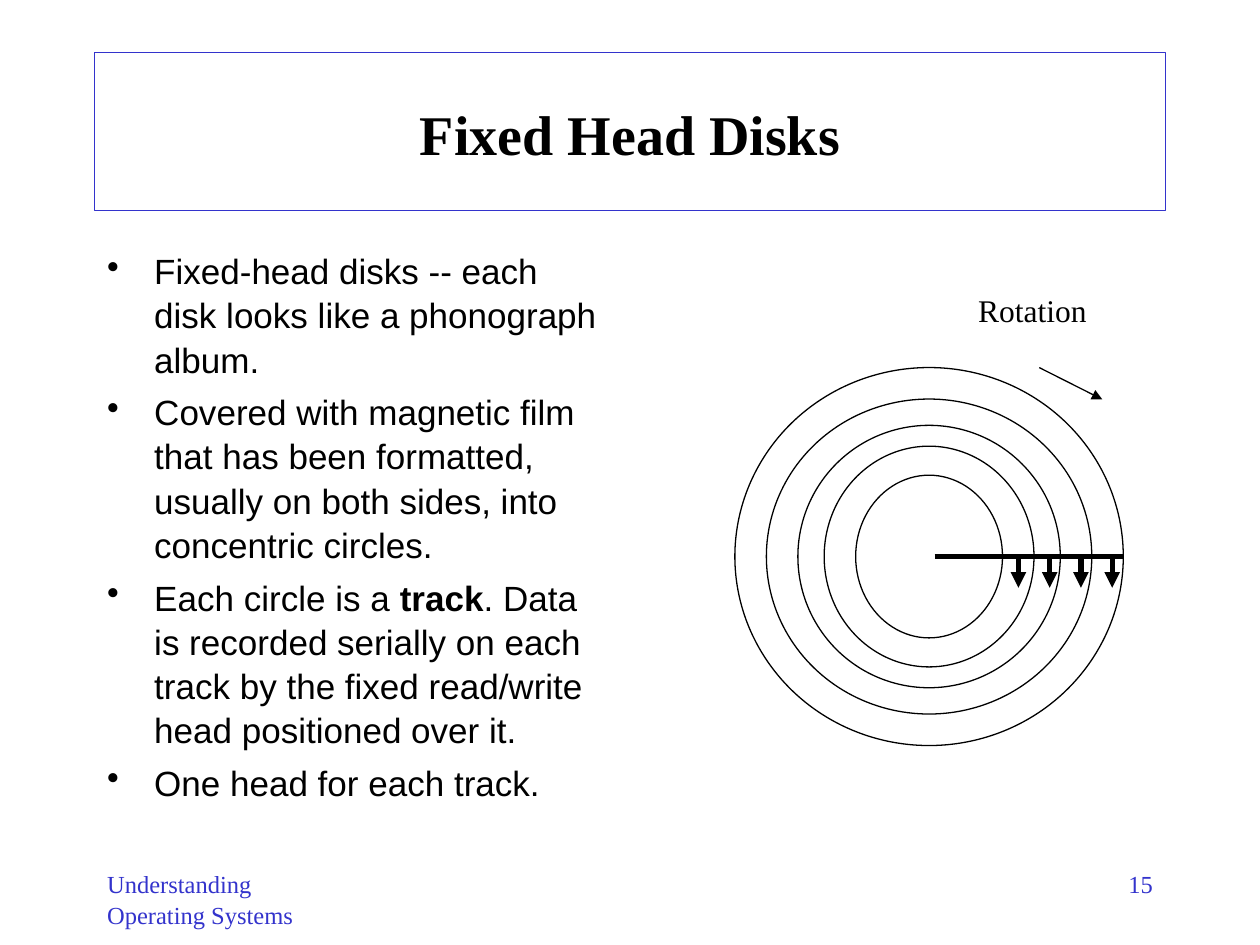
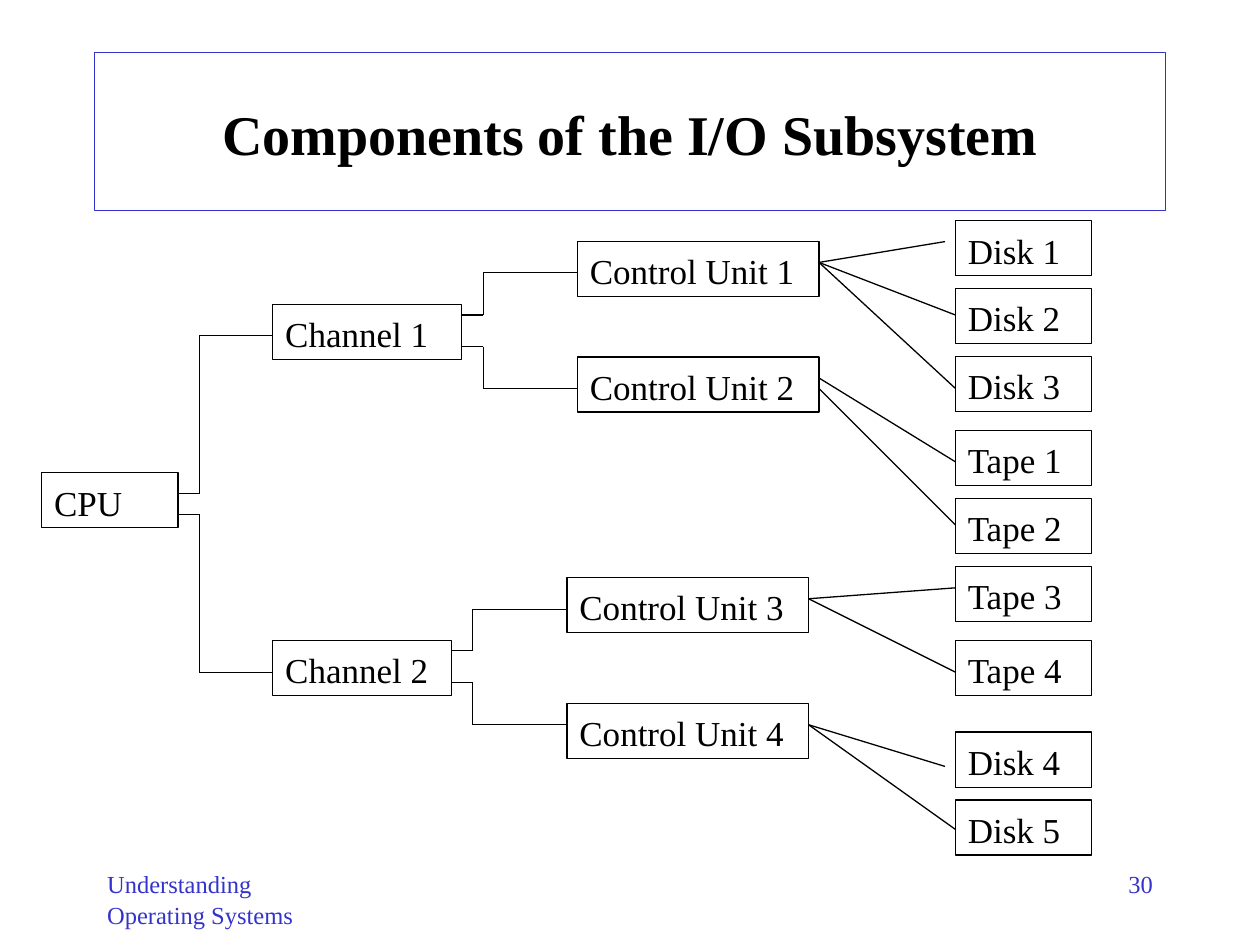
from typing import NamedTuple

from lxml import etree
from pptx import Presentation
from pptx.dml.color import RGBColor
from pptx.enum.shapes import MSO_CONNECTOR, MSO_SHAPE
from pptx.enum.text import MSO_ANCHOR, PP_ALIGN
from pptx.oxml.ns import qn
from pptx.util import Cm, Pt

BLACK = RGBColor(0x00, 0x00, 0x00)
BLUE = RGBColor(0x33, 0x33, 0xCC)
SERIF = "Times New Roman"
SANS = "Arial"
LEFT, CENTER, RIGHT = PP_ALIGN.LEFT, PP_ALIGN.CENTER, PP_ALIGN.RIGHT
TOP, MIDDLE = MSO_ANCHOR.TOP, MSO_ANCHOR.MIDDLE
STRAIGHT = MSO_CONNECTOR.STRAIGHT
OVAL = MSO_SHAPE.OVAL

THIN, THICK = 0.75, 3
LINE_SPACING = 1.05
NODE_HEIGHT = 1.11
DEVICE_LEFT, DEVICE_WIDTH, DEVICE_STEP = 19.26, 2.75, 1.37


class TextStyle(NamedTuple):
    size: int
    font: str = SERIF
    color: RGBColor = BLACK
    bold: bool = False
    align: PP_ALIGN = LEFT
    anchor: MSO_ANCHOR = TOP


class Area(NamedTuple):
    """A place on the slide, in centimetres."""
    left: float
    top: float
    width: float
    height: float = NODE_HEIGHT


class Point(NamedTuple):
    x: float
    y: float


class Node(NamedTuple):
    label: str
    area: Area


class Branch(NamedTuple):
    """A line that leaves a node, turns at the elbow and enters a child."""
    start: Point
    elbow_x: float
    end: Point


class Fan(NamedTuple):
    """Straight lines from one control unit to its devices."""
    start: Point
    ends: list[Point]


TITLE = TextStyle(32, bold=True, align=CENTER, anchor=MIDDLE)
BODY = TextStyle(20, font=SANS)
NODE = TextStyle(20)
CAPTION = TextStyle(18)
FOOTER = TextStyle(14, color=BLUE)
PAGE_NUMBER = FOOTER._replace(align=RIGHT)

TITLE_AREA = Area(1.91, 1.06, 21.59, 3.18)
BODY_AREA = Area(1.91, 4.87, 10.58, 12.07)
FOOTER_AREA = Area(1.91, 17.36, 5.29, 1.27)
PAGE_NUMBER_AREA = FOOTER_AREA._replace(left=18.2)

# Asterisks enclose bold words
DISK_POINTS = [
    "Fixed-head disks -- each disk looks like a phonograph album.",
    "Covered with magnetic film that has been formatted, usually on both "
    "sides, into concentric circles.",
    "Each circle is a *track*. Data is recorded serially on each track by "
    "the fixed read/write head positioned over it.",
    "One head for each track.",
]

DISK_CENTER = Point(18.73, 11.22)
TRACK_SIZES = [(7.83, 7.62), (6.56, 6.35), (5.29, 5.29), (4.23, 4.45), (2.96, 3.28)]
HEAD_COUNT, FIRST_HEAD_X, HEAD_STEP, HEAD_LENGTH = 4, 20.53, 0.63, 0.63

UNITS = [
    Node("CPU", Area(0.84, 9.53, 2.75)),
    Node("Channel 1", Area(5.5, 6.14, 3.81)),
    Node("Channel 2", Area(5.5, 12.91, 3.6)),
    Node("Control Unit 1", Area(11.64, 4.87, 4.87)),
    Node("Control Unit 2", Area(11.64, 7.2, 4.87)),
    Node("Control Unit 3", Area(11.43, 11.64, 4.87)),
    Node("Control Unit 4", Area(11.43, 14.18, 4.87)),
]

# Top of each evenly spaced stack, with its devices
DEVICE_STACKS = {
    4.45: ["Disk 1", "Disk 2", "Disk 3"],
    8.68: ["Tape 1", "Tape 2", "Tape 3"],
    12.91: ["Tape 4"],
    14.76: ["Disk 4", "Disk 5"],
}

BRANCHES = [
    Branch(Point(3.6, 9.95), 4.02, Point(5.5, 6.77)),
    Branch(Point(3.6, 10.37), 4.02, Point(5.5, 13.55)),
    Branch(Point(9.31, 6.35), 9.74, Point(11.64, 5.5)),
    Branch(Point(9.31, 6.99), 9.74, Point(11.64, 7.83)),
    Branch(Point(9.1, 13.12), 9.53, Point(11.43, 12.28)),
    Branch(Point(9.1, 13.76), 9.53, Point(11.43, 14.61)),
]

FANS = [
    Fan(Point(16.51, 5.29), [Point(19.05, 4.87), Point(DEVICE_LEFT, 6.35),
                             Point(DEVICE_LEFT, 7.83)]),
    Fan(Point(16.51, 7.62), [Point(DEVICE_LEFT, 9.31)]),
    Fan(Point(16.51, 7.83), [Point(DEVICE_LEFT, 10.58)]),
    Fan(Point(16.3, 12.07), [Point(DEVICE_LEFT, 11.85), Point(DEVICE_LEFT, 13.55)]),
    Fan(Point(16.3, 14.61), [Point(19.05, 15.45), Point(DEVICE_LEFT, 16.72)]),
]


def format_paragraph(paragraph, style: TextStyle) -> None:
    paragraph.alignment = style.align
    paragraph.line_spacing = LINE_SPACING
    for run in paragraph.runs:
        run.font.name = style.font
        run.font.size = Pt(style.size)
        run.font.color.rgb = style.color
        if style.bold:
            run.font.bold = True


def add_text(slide, area: Area, text: str, style: TextStyle,
             outline: RGBColor | None = None):
    box = slide.shapes.add_textbox(*map(Cm, area))
    frame = box.text_frame
    frame.word_wrap = True
    frame.vertical_anchor = style.anchor
    frame.text = text
    format_paragraph(frame.paragraphs[0], style)
    if outline is not None:
        box.line.color.rgb = outline
        box.line.width = Pt(THIN)
    return frame


def add_bullets(slide, area: Area, points: list[str], style: TextStyle) -> None:
    frame = add_text(slide, area, "", style)
    for index, point in enumerate(points):
        paragraph = frame.add_paragraph() if index else frame.paragraphs[0]
        properties = paragraph._p.get_or_add_pPr()
        properties.set("marL", str(Cm(0.95)))
        properties.set("indent", str(-Cm(0.95)))
        etree.SubElement(properties, qn("a:buChar")).set("char", "•")
        for part, words in enumerate(point.split("*")):
            run = paragraph.add_run()
            run.text = words
            run.font.bold = part % 2 == 1
        format_paragraph(paragraph, style)
        if index:
            paragraph.space_before = Pt(5)


def add_line(slide, start: Point, end: Point, width: float = THIN,
             arrow: bool = False) -> None:
    line = slide.shapes.add_connector(STRAIGHT, *map(Cm, (*start, *end)))
    line.line.color.rgb = BLACK
    line.line.width = Pt(width)
    if arrow:
        etree.SubElement(line.line._get_or_add_ln(), qn("a:tailEnd")).set("type", "triangle")
    etree.SubElement(line._element.spPr, qn("a:effectLst"))


def add_track(slide, center: Point, width: float, height: float) -> None:
    track = slide.shapes.add_shape(OVAL, Cm(center.x - width / 2),
                                   Cm(center.y - height / 2), Cm(width), Cm(height))
    track.shadow.inherit = False
    track.fill.background()
    track.line.color.rgb = BLACK
    track.line.width = Pt(THIN)


def add_branch(slide, branch: Branch) -> None:
    leaving = Point(branch.elbow_x, branch.start.y)
    entering = Point(branch.elbow_x, branch.end.y)
    add_line(slide, branch.start, leaving)
    add_line(slide, leaving, entering)
    add_line(slide, entering, branch.end)


def new_slide(deck, title: str, number: int):
    """Blank slide with the shared title frame and footers."""
    slide = deck.slides.add_slide(deck.slide_layouts[6])
    add_text(slide, FOOTER_AREA, "Understanding Operating Systems", FOOTER)
    add_text(slide, PAGE_NUMBER_AREA, str(number), PAGE_NUMBER)
    add_text(slide, TITLE_AREA, title, TITLE, outline=BLUE)
    return slide


def build_fixed_head_disks(deck) -> None:
    slide = new_slide(deck, "Fixed Head Disks", 15)
    add_bullets(slide, BODY_AREA, DISK_POINTS, BODY)

    # Disk surface with its tracks
    for width, height in TRACK_SIZES:
        add_track(slide, DISK_CENTER, width, height)

    # Arm with one head per track
    arm_y = DISK_CENTER.y
    add_line(slide, Point(18.84, arm_y), Point(22.65, arm_y), THICK)
    for index in range(HEAD_COUNT):
        head_x = FIRST_HEAD_X + index * HEAD_STEP
        add_line(slide, Point(head_x, arm_y), Point(head_x, arm_y + HEAD_LENGTH),
                 THICK, arrow=True)

    # Direction of rotation
    add_line(slide, Point(20.95, 7.41), Point(22.22, 8.05), arrow=True)
    add_text(slide, Area(19.47, 5.71, 3.6, 1.01), "Rotation", CAPTION)


def build_io_subsystem(deck) -> None:
    slide = new_slide(deck, "Components of the I/O Subsystem", 30)

    # Processor, channels, control units and devices
    devices = [
        Node(label, Area(DEVICE_LEFT, top + row * DEVICE_STEP, DEVICE_WIDTH))
        for top, labels in DEVICE_STACKS.items()
        for row, label in enumerate(labels)
    ]
    for node in UNITS + devices:
        add_text(slide, node.area, node.label, NODE, outline=BLACK)

    # Connections
    for branch in BRANCHES:
        add_branch(slide, branch)
    for fan in FANS:
        for end in fan.ends:
            add_line(slide, fan.start, end)


def main() -> None:
    deck = Presentation()
    deck.slide_width, deck.slide_height = Cm(25.4), Cm(19.05)
    build_fixed_head_disks(deck)
    build_io_subsystem(deck)
    deck.save("out.pptx")


if __name__ == "__main__":
    main()
